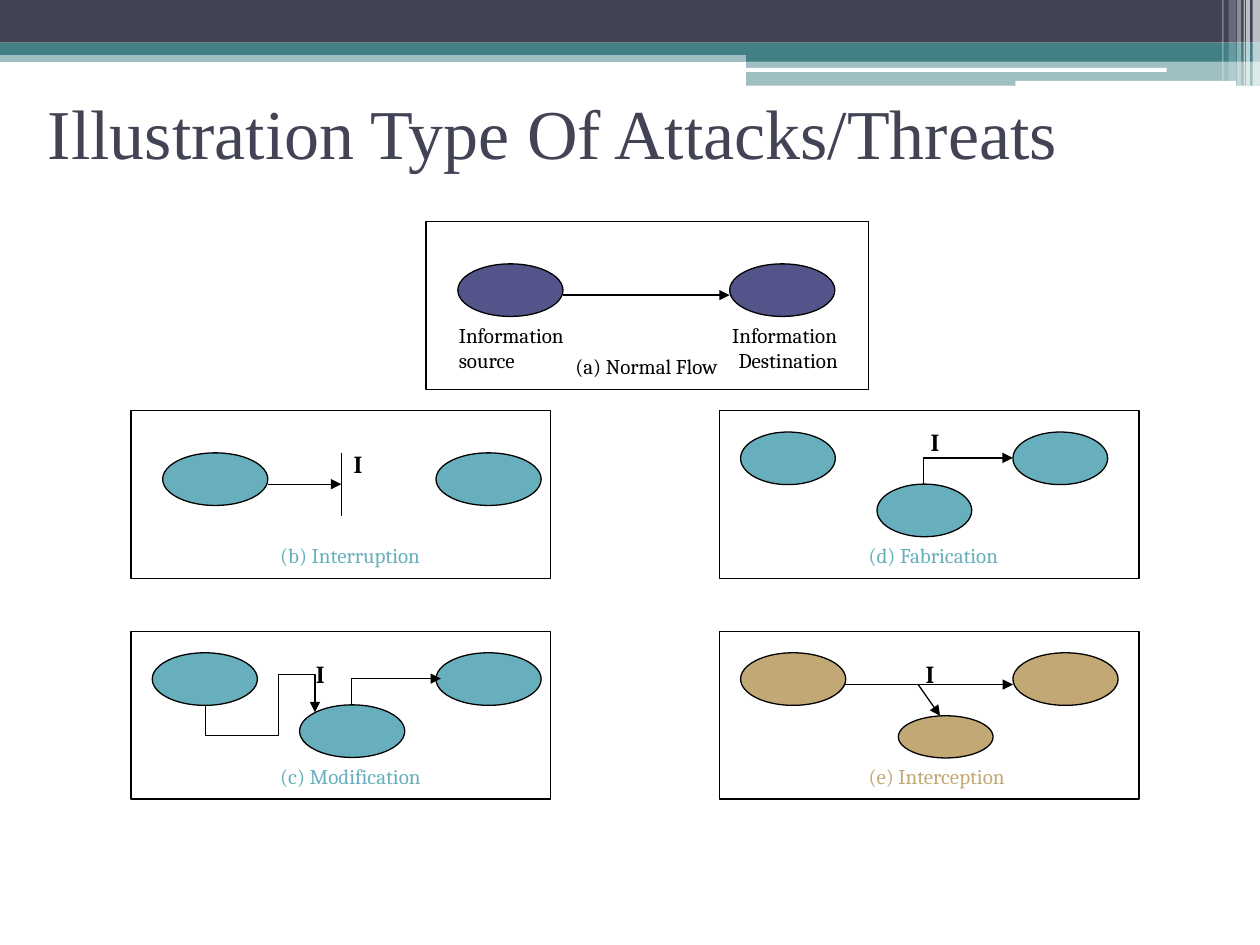
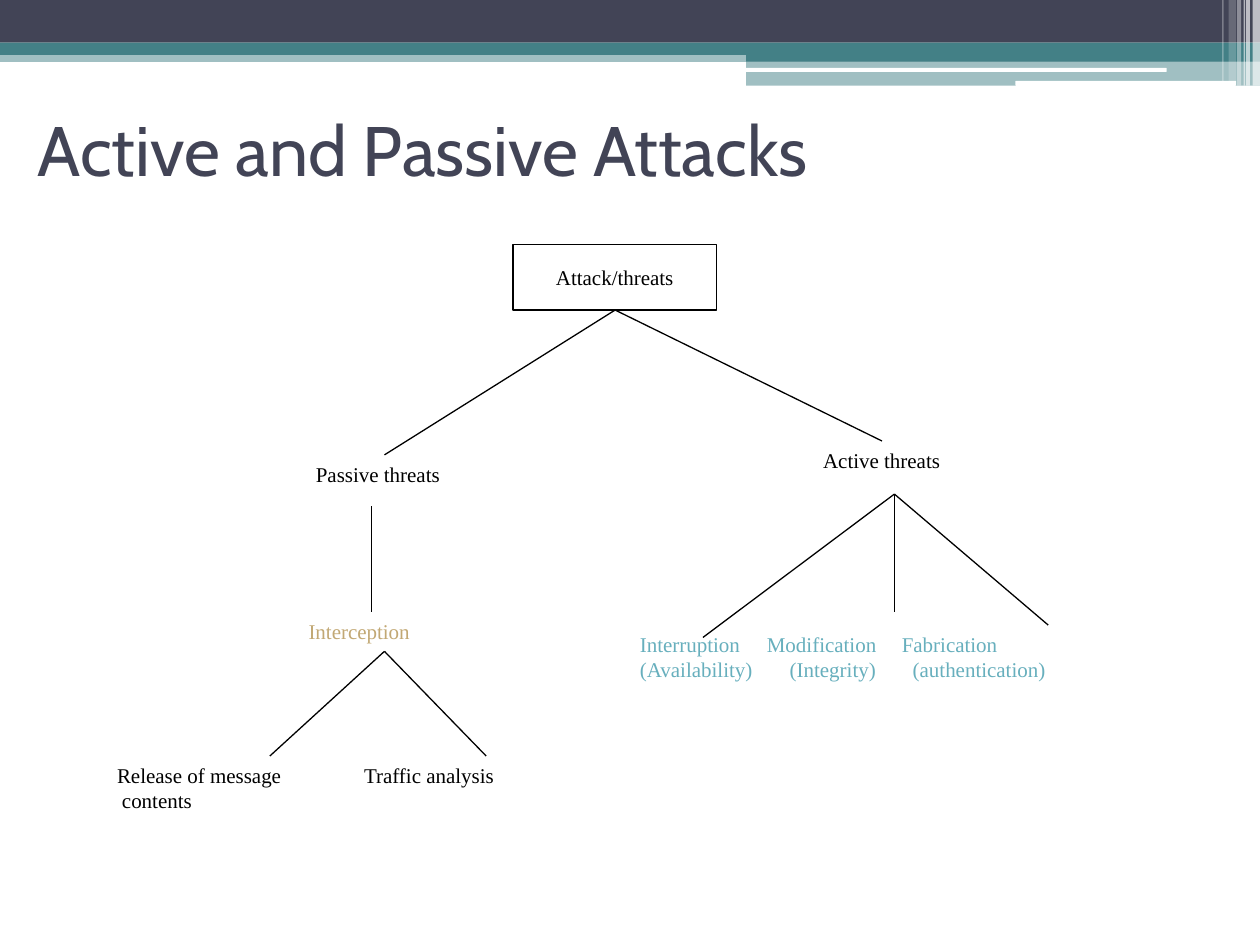
import lxml.etree
import pptx
import pptx.dml.color
import pptx.enum.shapes
import pptx.enum.text
import pptx.oxml.ns
import pptx.util

Cm = pptx.util.Cm
qn = pptx.oxml.ns.qn
SHAPE = pptx.enum.shapes.MSO_SHAPE
CONNECTOR = pptx.enum.shapes.MSO_CONNECTOR
ALIGN = pptx.enum.text.PP_ALIGN
ANCHOR = pptx.enum.text.MSO_ANCHOR
AUTO_SIZE = pptx.enum.text.MSO_AUTO_SIZE

NAVY, TEAL, WHITE, BLACK = "424456", "438086", "FFFFFF", "000000"
PURPLE, AQUA, SAND = "53548A", "67AFBD", "C2A874"
CAMBRIA, TIMES, CABIN = "Cambria", "Times New Roman", "Cabin"

BANDS = [
    (0, 1.02, 25.4, 0.23, TEAL, 50),
    (0, 0, 25.4, 0.86, NAVY, 100),
    (0, 0.86, 25.4, 0.25, TEAL, 100),
    (15.04, 0.99, 10.36, 0.25, TEAL, 100),
    (15.04, 1.22, 10.36, 0.51, TEAL, 50),
]
BARS = [(15.01, 1.37, 8.51, 0.08), (20.47, 1.63, 4.45, 0.1)]
STRIPES = [
    (25.25, 0.15, 1.73, 65),
    (25.12, 0.08, 1.73, 65),
    (25.07, 0.03, 1.73, 60),
    (24.94, 0.08, 1.73, 40),
    (24.77, 0.15, 1.63, 20),
    (24.64, 0.03, 1.63, 30),
]
NODE = (2.12, 1.06)
SMALL_NODE = (1.91, 1.06)


def color(hex_code):
    return pptx.dml.color.RGBColor.from_string(hex_code)


class Painter:
    """Holds the deck style, the current page and the origin of the current panel."""

    def __init__(self):
        self.deck = pptx.Presentation()
        self.deck.slide_width, self.deck.slide_height = Cm(25.4), Cm(19.05)
        self.layout = self.deck.slide_layouts[5]
        for holder in list(self.layout.placeholders):
            if holder.placeholder_format.idx:
                holder.element.getparent().remove(holder.element)
        self.page = None
        self.origin = (0, 0)

    def new_page(self, title, left, top, font):
        self.page = self.deck.slides.add_slide(self.layout)
        self.origin = (0, 0)
        box = self.page.shapes.title
        box.left, box.top, box.width, box.height = Cm(left), Cm(top), Cm(22.86), Cm(2.97)
        box.text_frame.auto_size = AUTO_SIZE.NONE
        box.text_frame.vertical_anchor = ANCHOR.MIDDLE
        self.set_lines(box, [title], font, 40, NAVY)

    def decorate_layout(self):
        bands = [self.shape(SHAPE.RECTANGLE, *band[:4], fill=band[4], opacity=band[5])
                 for band in BANDS]
        bands += [self.shape(SHAPE.ROUNDED_RECTANGLE, *bar, fill=WHITE) for bar in BARS]
        bands += [self.shape(SHAPE.RECTANGLE, left, 0, width, height, fill=WHITE, opacity=opacity)
                  for left, width, height, opacity in STRIPES]
        tree = self.layout.placeholders[0].element.getparent()
        for band in bands:
            tree.append(band.element)

    def place(self, left, top):
        return Cm(self.origin[0] + left), Cm(self.origin[1] + top)

    def shape(self, kind, left, top, width, height, fill=None, line=None, opacity=100):
        shape = self.page.shapes.add_shape(kind, *self.place(left, top), Cm(width), Cm(height))
        shape.shadow.inherit = False
        if fill:
            shape.fill.solid()
            shape.fill.fore_color.rgb = color(fill)
        else:
            shape.fill.background()
        if opacity < 100:
            tint = shape.element.spPr.find(qn("a:solidFill")).find(qn("a:srgbClr"))
            lxml.etree.SubElement(tint, qn("a:alpha"), val=str(opacity * 1000))
        if line:
            shape.line.color.rgb = color(line)
            shape.line.width = pptx.util.Pt(0.75)
        else:
            shape.line.fill.background()
        return shape

    def panel(self, left, top, caption, ink, width=8.46, caption_width=3.45):
        self.origin = (left, top)
        self.shape(SHAPE.RECTANGLE, 0, 0, width, 3.38, line=BLACK)
        self.text([caption], 2.76, 2.54, caption_width, ink=ink)

    def ellipses(self, fill, places, size=NODE):
        for left, top in places:
            self.shape(SHAPE.OVAL, left, top, *size, fill=fill, line=BLACK)

    def set_lines(self, box, lines, font, size, ink, align=ALIGN.LEFT, tabs=()):
        frame = box.text_frame
        for index, line in enumerate(lines):
            para = frame.add_paragraph() if index else frame.paragraphs[0]
            para.add_run().text = line
            para.alignment = align
            if tabs:
                stops = lxml.etree.SubElement(para._p.get_or_add_pPr(), qn("a:tabLst"))
                for stop in tabs[index]:
                    lxml.etree.SubElement(stops, qn("a:tab"), pos=str(Cm(stop)), algn="l")
            para.font.name = font
            para.font.size = pptx.util.Pt(size)
            para.font.color.rgb = color(ink)

    def text(self, lines, left, top, width, height=0.76, font=CAMBRIA, size=12, ink=BLACK,
             align=ALIGN.LEFT, wrap=False, tabs=()):
        box = self.page.shapes.add_textbox(*self.place(left, top), Cm(width), Cm(height))
        box.text_frame.word_wrap = wrap
        box.text_frame.auto_size = AUTO_SIZE.SHAPE_TO_FIT_TEXT
        self.set_lines(box, lines, font, size, ink, align, tabs)
        return box

    def intruder(self, left, top):
        box = self.text(["I"], left, top, 0.76, 0.84, size=14)
        box.text_frame.paragraphs[0].font.bold = True

    def line(self, start, end, arrow=False, kind=CONNECTOR.STRAIGHT):
        line = self.page.shapes.add_connector(kind, *self.place(*start), *self.place(*end))
        line.line.color.rgb = color(BLACK)
        line.line.width = pptx.util.Pt(0.75)
        properties = line.element.spPr
        if arrow:
            outline = properties.find(qn("a:ln"))
            lxml.etree.SubElement(outline, qn("a:tailEnd"), type="triangle")
        lxml.etree.SubElement(properties, qn("a:effectLst"))
        return line

    def bent_arrow(self, start, end, preset="bentConnector2", bends=()):
        across, down = end[0] - start[0], end[1] - start[1]
        middle_x, middle_y = start[0] + across / 2, start[1] + down / 2
        arrow = self.line((middle_x + down / 2, middle_y - across / 2),
                          (middle_x - down / 2, middle_y + across / 2), True, CONNECTOR.ELBOW)
        properties = arrow.element.spPr
        properties.find(qn("a:xfrm")).set("rot", "16200000")
        geometry = properties.find(qn("a:prstGeom"))
        geometry.set("prst", preset)
        guides = geometry.find(qn("a:avLst"))
        for number, bend in enumerate(bends, 1):
            lxml.etree.SubElement(guides, qn("a:gd"), name=f"adj{number}",
                                  fmla=f"val {round(bend * 100000)}")


def draw_attack_types(painter):
    left_column, right_column, upper_row, lower_row = 2.64, 14.5, 8.28, 12.73

    painter.panel(8.59, 4.47, "(a) Normal Flow", BLACK, width=8.92, caption_width=3.53)
    painter.ellipses(PURPLE, [(0.64, 0.85), (6.12, 0.85)])
    painter.line((2.75, 1.48), (6.12, 1.48), arrow=True)
    for word, left, top, width in [("Information", 0.41, 1.9, 2.72), ("source", 0.41, 2.41, 1.75),
                                   ("Information", 5.92, 1.9, 2.72),
                                   ("Destination", 6.05, 2.41, 2.62)]:
        painter.text([word], left, top, width)

    painter.panel(left_column, upper_row, "(b) Interruption", AQUA)
    painter.ellipses(AQUA, [(0.64, 0.85), (6.15, 0.85)])
    painter.line((2.77, 1.48), (4.24, 1.48), arrow=True)
    painter.line((4.24, 0.85), (4.24, 2.12))
    painter.intruder(4.24, 0.64)

    painter.panel(left_column, lower_row, "(c) Modification", AQUA, caption_width=3.4)
    painter.ellipses(AQUA, [(0.43, 0.43), (3.4, 1.48), (6.15, 0.43)])
    painter.bent_arrow((4.45, 1.48), (6.25, 0.95))
    painter.bent_arrow((1.5, 1.48), (3.71, 1.63), "bentConnector5", (4.11, 0.67, -4.11))
    painter.intruder(3.48, 0.43)

    painter.panel(right_column, upper_row, "(d) Fabrication", AQUA, caption_width=3.25)
    painter.ellipses(AQUA, [(0.43, 0.43), (5.92, 0.43), (3.18, 1.48)], SMALL_NODE)
    painter.bent_arrow((4.12, 1.48), (5.92, 0.95))
    painter.intruder(4.01, 0.2)

    painter.panel(right_column, lower_row, "(e) Interception", SAND, caption_width=3.48)
    painter.ellipses(SAND, [(0.43, 0.43), (5.92, 0.43)])
    painter.ellipses(SAND, [(3.61, 1.7)], (1.91, 0.85))
    painter.line((2.54, 1.07), (5.92, 1.07), arrow=True)
    painter.line((4.01, 1.07), (4.45, 1.7), arrow=True)
    painter.intruder(3.91, 0.43)


def draw_threat_tree(painter):
    root = painter.shape(SHAPE.RECTANGLE, 10.34, 4.93, 4.11, 1.32, fill=WHITE, line=BLACK)
    root.text_frame.word_wrap = False
    root.text_frame.vertical_anchor = ANCHOR.MIDDLE
    painter.set_lines(root, ["Attack/threats"], TIMES, 12, BLACK, ALIGN.CENTER)

    branches = {
        (12.4, 6.25): [(7.75, 9.17), (17.78, 8.89)],
        (7.49, 10.21): [(7.49, 12.34)],
        (7.75, 13.13): [(5.44, 15.24), (9.8, 15.24)],
        (18.03, 9.96): [(14.17, 12.85), (18.03, 12.34), (21.13, 12.6)],
    }
    for parent, children in branches.items():
        for child in children:
            painter.line(parent, child)

    labels = [
        (["Passive threats"], 5.18, 9.17, 4.88, BLACK, ALIGN.CENTER, ()),
        (["Active threats"], 15.72, 8.89, 4.11, BLACK, ALIGN.CENTER, ()),
        (["Interception"], 5.97, 12.34, 3.35, SAND, ALIGN.LEFT, ()),
        (["Release of message\tTraffic analysis", "\tcontents"],
         2.11, 15.24, 10.8, BLACK, ALIGN.LEFT, [(4.98,), (0.1,)]),
        (["Interruption\tModification\tFabrication", "(Availability)\t(Integrity)\t(authentication)"],
         12.65, 12.6, 11.05, AQUA, ALIGN.LEFT, [(2.56, 5.28), (3.02, 5.5)]),
    ]
    for lines, left, top, width, ink, align, tabs in labels:
        height = 0.94 if len(lines) == 1 else 1.57
        painter.text(lines, left, top, width, height, TIMES, 12, ink, align, True, tabs)


def main():
    painter = Painter()
    painter.new_page("Illustration Type Of Attacks/Threats", 0.71, 1.17, TIMES)
    painter.decorate_layout()
    draw_attack_types(painter)
    painter.new_page("Active and Passive Attacks", 0.51, 1.5, CABIN)
    draw_threat_tree(painter)
    painter.deck.save("out.pptx")


if __name__ == "__main__":
    main()
